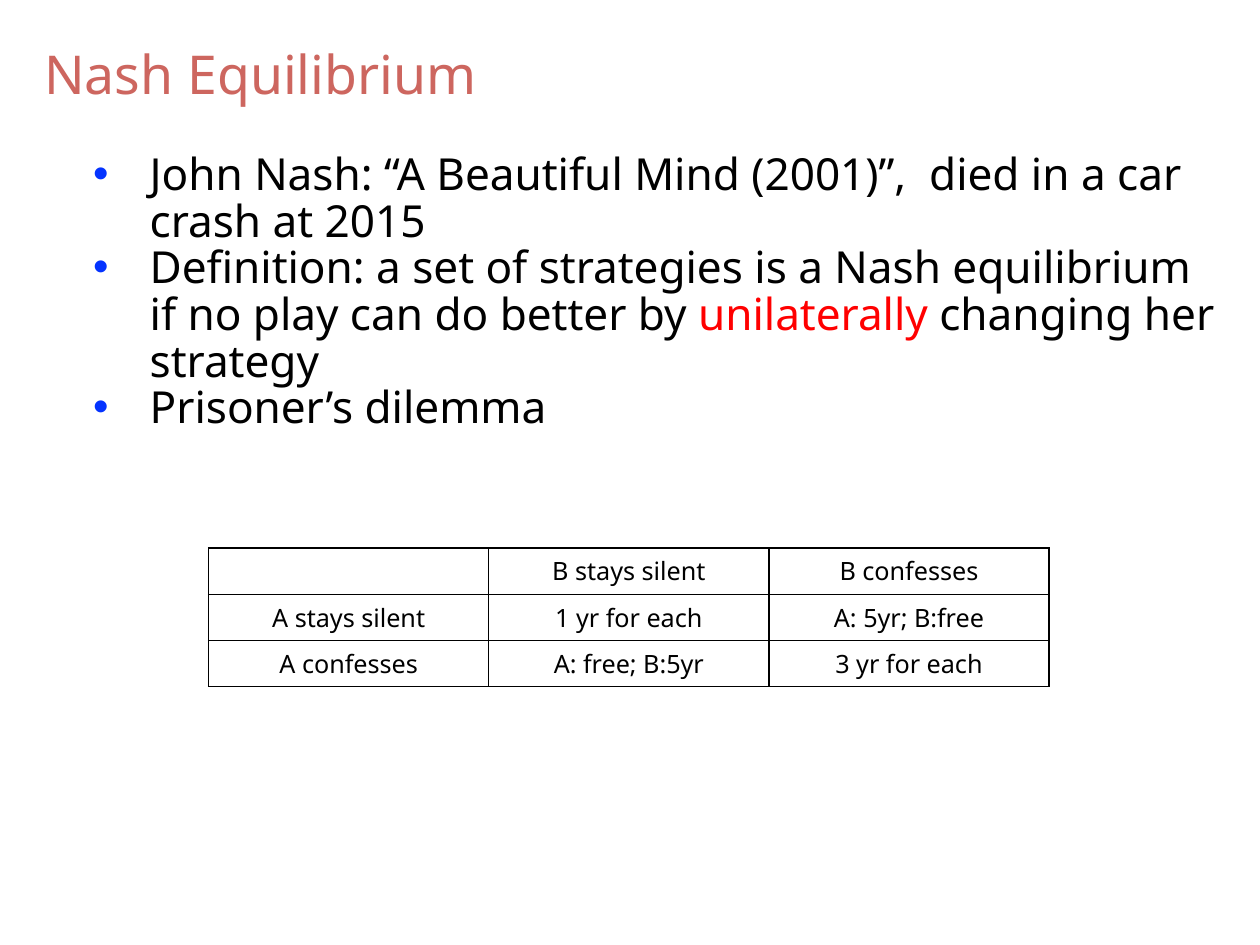
from dataclasses import dataclass

from lxml.etree import SubElement
from pptx import Presentation
from pptx.dml.color import RGBColor
from pptx.enum.text import MSO_ANCHOR as Anchor, MSO_AUTO_SIZE as AutoSize, PP_ALIGN as Align
from pptx.oxml.ns import qn
from pptx.util import Inches, Pt

WIDTH, HEIGHT = Inches(11.11), Inches(8.33)
FONT = "Noto Sans"
COLOURS = {
    "title": "CD665F",
    "text": "000000",
    "bullet": "0433FF",
    "emphasis": "FF0000",
    "border": "000000",
}


@dataclass(frozen=True)
class Area:
    left: float
    top: float
    width: float
    height: float

    def lengths(self) -> tuple[int, int, int, int]:
        return (
            int(self.left * WIDTH),
            int(self.top * HEIGHT),
            int(self.width * WIDTH),
            int(self.height * HEIGHT),
        )


@dataclass(frozen=True)
class Span:
    text: str
    colour: str = "text"


TITLE_AREA = Area(0.0315, 0.0384, 0.936, 0.078)
LIST_AREA = Area(0.0702, 0.1573, 0.8974, 0.4622)
TABLE_AREA = Area(0.1656, 0.58, 0.667, 0.1465)

POINTS = [
    [Span("John Nash: “A Beautiful Mind (2001)”,  died in a car crash at 2015")],
    [
        Span("Definition: a set of strategies is a Nash equilibrium if no play can do better by "),
        Span("unilaterally", "emphasis"),
        Span(" changing her strategy"),
    ],
    [Span("Prisoner’s dilemma")],
]

PAYOFFS = [
    ["", "B stays silent", "B confesses"],
    ["A stays silent", "1 yr for each", "A: 5yr; B:free"],
    ["A confesses", "A: free; B:5yr", "3 yr for each"],
]


def style_run(run, size: float, colour: str) -> None:
    run.font.name = FONT
    run.font.size = Pt(size)
    run.font.color.rgb = RGBColor.from_string(COLOURS[colour])


def place(box, area: Area, anchor: Anchor):
    box.left, box.top, box.width, box.height = area.lengths()
    frame = box.text_frame
    frame.margin_left = frame.margin_right = Inches(0.04)
    frame.margin_top = frame.margin_bottom = Inches(0.04)
    frame.word_wrap = True
    frame.auto_size = AutoSize.NONE
    frame.vertical_anchor = anchor
    return frame


def add_bullet(para) -> None:
    properties = para._p.get_or_add_pPr()
    properties.set("marL", str(Inches(0.5)))
    properties.set("indent", str(-Inches(0.5)))
    colour = SubElement(properties, qn("a:buClr"))
    SubElement(colour, qn("a:srgbClr"), val=COLOURS["bullet"])
    SubElement(properties, qn("a:buChar"), char="•")


def draw_title(page) -> None:
    frame = place(page.shapes.title, TITLE_AREA, Anchor.MIDDLE)
    frame.text = "Nash Equilibrium"
    para = frame.paragraphs[0]
    para.alignment = Align.LEFT
    style_run(para.runs[0], 34, "title")


def draw_points(page) -> None:
    frame = place(page.placeholders[1], LIST_AREA, Anchor.TOP)
    for index, spans in enumerate(POINTS):
        para = frame.add_paragraph() if index else frame.paragraphs[0]
        para.line_spacing = 0.88
        para.space_before = Pt(0)
        add_bullet(para)
        for span in spans:
            run = para.add_run()
            run.text = span.text
            style_run(run, 28, span.colour)


def add_borders(cell) -> None:
    properties = cell._tc.get_or_add_tcPr()
    for index, side in enumerate(("lnL", "lnR", "lnT", "lnB")):
        line = SubElement(properties, qn(f"a:{side}"), w=str(Pt(1)))
        fill = SubElement(line, qn("a:solidFill"))
        SubElement(fill, qn("a:srgbClr"), val=COLOURS["border"])
        properties.insert(index, line)


def draw_payoffs(page) -> None:
    frame = page.shapes.add_table(len(PAYOFFS), len(PAYOFFS[0]), *TABLE_AREA.lengths())
    table = frame.table
    table.first_row = table.horz_banding = False
    for row, texts in enumerate(PAYOFFS):
        for column, text in enumerate(texts):
            cell = table.cell(row, column)
            cell.text = text
            cell.vertical_anchor = Anchor.MIDDLE
            cell.fill.background()
            add_borders(cell)
            para = cell.text_frame.paragraphs[0]
            para.alignment = Align.CENTER
            for run in para.runs:
                style_run(run, 16, "text")


def main() -> None:
    deck = Presentation()
    deck.slide_width, deck.slide_height = WIDTH, HEIGHT
    page = deck.slides.add_slide(deck.slide_layouts[1])
    draw_title(page)
    draw_points(page)
    draw_payoffs(page)
    deck.save("out.pptx")


if __name__ == "__main__":
    main()
